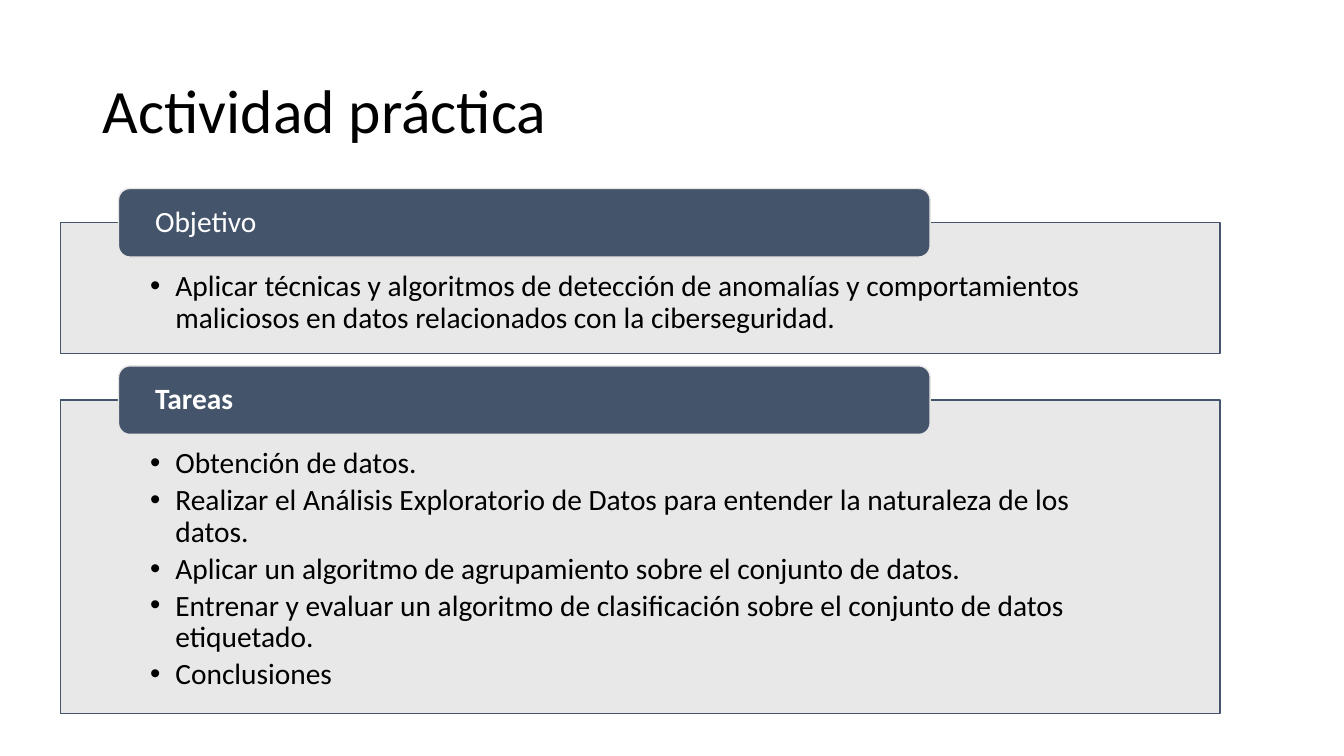
"""Build the slide that states the goal and the tasks of a practical activity."""
import pptx
import pptx.util
import pptx.dml.color
import pptx.enum.shapes
import pptx.enum.text
import lxml.etree
import pptx.oxml.ns

Inches, Pt = pptx.util.Inches, pptx.util.Pt
Kind = pptx.enum.shapes.MSO_SHAPE
Anchor = pptx.enum.text.MSO_ANCHOR
qn = pptx.oxml.ns.qn


def tint(hue):
    return pptx.dml.color.RGBColor.from_string(hue)


def write(shape, lines, size=21, color="000000", bold=False, bullet=False,
          anchor=Anchor.MIDDLE, inset=(0.1, 0.05, 0.1, 0.05), after=0):
    frame = shape.text_frame
    frame.word_wrap = True
    frame.vertical_anchor = anchor
    (frame.margin_left, frame.margin_top,
     frame.margin_right, frame.margin_bottom) = map(Inches, inset)
    for i, line in enumerate(lines):
        para = frame.paragraphs[0] if i == 0 else frame.add_paragraph()
        para.alignment = pptx.enum.text.PP_ALIGN.LEFT
        para.line_spacing = 0.9
        para.space_after = Pt(after)
        if bullet:
            props = para._p.get_or_add_pPr()
            props.set("marL", str(Inches(0.25)))
            props.set("indent", str(-Inches(0.25)))
            face = lxml.etree.SubElement(props, qn("a:buFont"))
            face.set("typeface", "Arial")
            mark = lxml.etree.SubElement(props, qn("a:buChar"))
            mark.set("char", "•")
        run = para.add_run()
        run.text = line
        font = run.font
        font.name, font.size, font.bold = "Calibri", Pt(size), bold
        font.color.rgb = tint(color)


deck = pptx.Presentation()
deck.slide_width, deck.slide_height = Inches(13.33), Inches(7.5)
slide = deck.slides.add_slide(deck.slide_layouts[5])

title = slide.shapes.title
title.left, title.top = Inches(0.92), Inches(0.4)
title.width, title.height = Inches(11.5), Inches(1.45)
write(title, ["Actividad práctica"], size=44)

left, wide = 0.6, 11.5
tab, lift = 0.68, 0.34
gap = 0.46
top = 2.21
slate, pale = "44546A", "E7E6E6"
parts = [
    ("Objetivo", False, 1.3, [
        "Aplicar técnicas y algoritmos de detección de anomalías y "
        "comportamientos maliciosos en datos relacionados con la ciberseguridad.",
    ]),
    ("Tareas", True, 3.11, [
        "Obtención de datos.",
        "Realizar el Análisis Exploratorio de Datos para entender la "
        "naturaleza de los datos.",
        "Aplicar un algoritmo de agrupamiento sobre el conjunto de datos.",
        "Entrenar y evaluar un algoritmo de clasificación sobre el conjunto "
        "de datos etiquetado.",
        "Conclusiones",
    ]),
]

for head, bold, tall, items in parts:
    panel = slide.shapes.add_shape(
        Kind.RECTANGLE, Inches(left), Inches(top), Inches(wide), Inches(tall))
    label = slide.shapes.add_shape(
        Kind.ROUNDED_RECTANGLE, Inches(left + wide * 0.05), Inches(top - lift),
        Inches(wide * 0.7), Inches(tab))
    for shape, fill, edge in ((panel, pale, slate), (label, slate, pale)):
        shape.shadow.inherit = False
        shape.fill.solid()
        shape.fill.fore_color.rgb = tint(fill)
        shape.line.color.rgb = tint(edge)
        shape.line.width = Pt(1)
    shade = panel._element.spPr.find(qn("a:solidFill"))[0]
    lxml.etree.SubElement(shade, qn("a:alpha")).set("val", "90000")
    write(panel, items, bullet=True, anchor=Anchor.TOP,
          inset=(0.89, 0.48, 0.89, 0.16), after=3.6)
    write(label, [head], color="FFFFFF", bold=bold, inset=(0.33, 0, 0.33, 0))
    top += tall + gap

deck.save("out.pptx")
